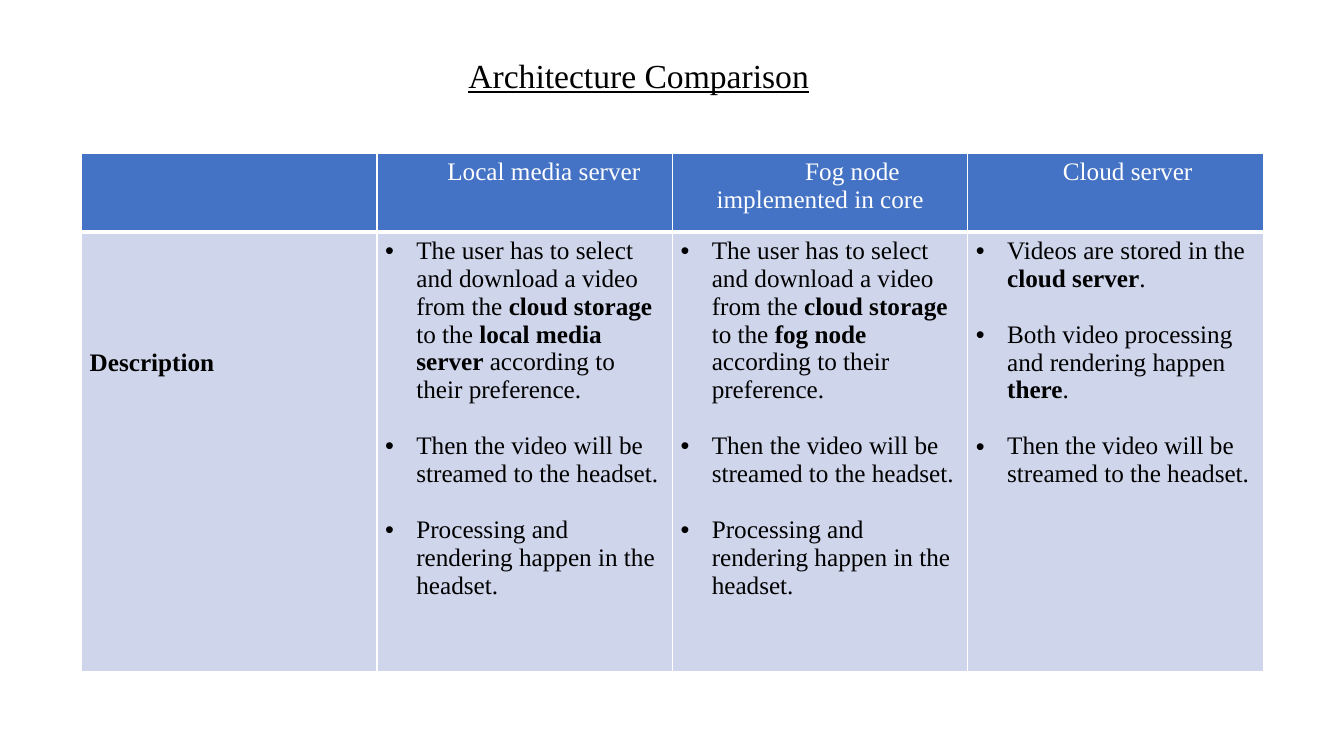
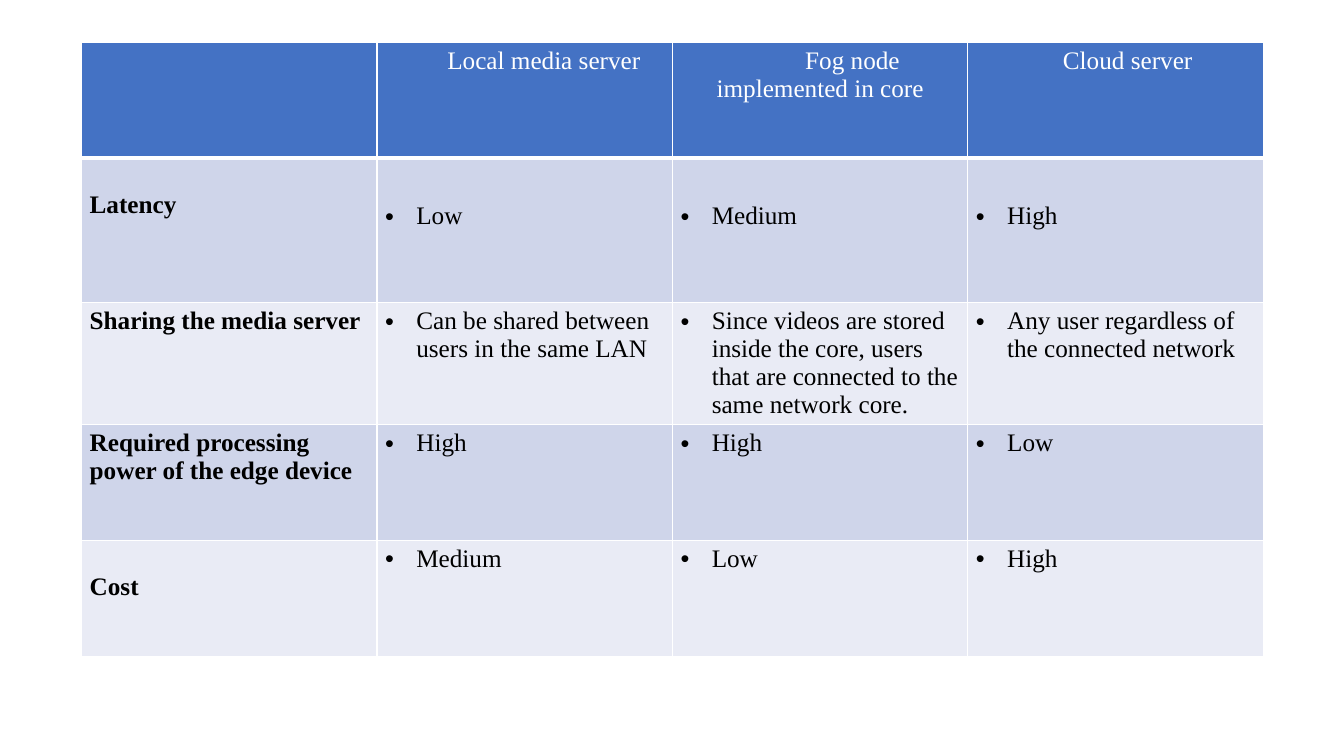
from lxml.etree import SubElement
from pptx import Presentation
from pptx.dml.color import RGBColor
from pptx.enum.text import MSO_ANCHOR, PP_ALIGN
from pptx.oxml.ns import qn
from pptx.util import Inches, Pt

# Shared style
COLORS = {
    "header": "4472C4",
    "band_dark": "CFD5EA",
    "band_light": "E9EBF5",
    "white": "FFFFFF",
    "black": "000000",
}
FONT = "Times New Roman"
TITLE_ONLY, BLANK = 5, 6
TABLE_LEFT, COLUMN_WIDTH = 0.81, 2.93
LINE = 20  # height of one text line, in points
CELL_TOP = 0.05

# Header text and its first-line indent in inches
HEADERS = [
    ("", 0),
    ("Local media server", 0.38),
    ("Fog node implemented in core", 0.64),
    ("Cloud server", 0.24),
]

# Rows: label, label offset, item offset, one list of items per architecture.
# Offsets are points below the cell's top margin; ** marks bold text.
STREAMING = "Then the video will be streamed to the headset."
RENDERING = "Processing and rendering happen in the headset."
DESCRIPTION_ROWS = [
    ("Description", 4 * LINE, 0, [
        ["The user has to select and download a video from the **cloud storage** "
         "to the **local media server** according to their preference.",
         STREAMING, RENDERING],
        ["The user has to select and download a video from the **cloud storage** "
         "to the **fog node** according to their preference.",
         STREAMING, RENDERING],
        ["Videos are stored in the **cloud server**.",
         "Both video processing and rendering happen **there**.",
         STREAMING],
    ]),
]
CRITERIA_ROWS = [
    ("Latency", LINE, LINE + 8, [["Low"], ["Medium"], ["High"]]),
    ("Sharing the media server", 0, 0, [
        ["Can be shared between users in the same LAN"],
        ["Since videos are stored inside the core, users that are connected "
         "to the same network core."],
        ["Any user regardless of the connected network"],
    ]),
    ("Required processing power of the edge device", 0, 0,
     [["High"], ["High"], ["Low"]]),
    ("Cost", LINE, 0, [["Medium"], ["Low"], ["High"]]),
]


def color(name):
    return RGBColor.from_string(COLORS[name])


def add_span(para, text, color_name, size=18, bold=False):
    span = para.add_run()
    span.text = text
    span.font.name = FONT
    span.font.size = Pt(size)
    span.font.bold = bold
    span.font.color.rgb = color(color_name)
    return span


def add_title(page, text):
    box = page.shapes.title
    box.left, box.top = Inches(3.23), Inches(0.49)
    box.width, box.height = Inches(6.21), Inches(0.5)
    para = box.text_frame.paragraphs[0]
    para.alignment = PP_ALIGN.CENTER
    add_span(para, text, "black", size=24).font.underline = True


def style_cell(cell, fill_name, top_line=1, bottom_line=1, offset=0):
    """Set borders, fill and margins; offset is in points."""
    properties = cell._tc.get_or_add_tcPr()
    widths = {"lnL": 1, "lnR": 1, "lnT": top_line, "lnB": bottom_line}
    for edge, width in widths.items():
        line = SubElement(properties, qn(f"a:{edge}"), w=str(Pt(width)))
        fill = SubElement(line, qn("a:solidFill"))
        SubElement(fill, qn("a:srgbClr"), val=COLORS["white"])
    cell.fill.solid()
    cell.fill.fore_color.rgb = color(fill_name)
    cell.vertical_anchor = MSO_ANCHOR.TOP
    cell.margin_left = cell.margin_right = Inches(0.08)
    cell.margin_top = Inches(CELL_TOP) + Pt(offset)
    cell.margin_bottom = Inches(CELL_TOP)


def set_indent(para, left, first):
    properties = para._p.get_or_add_pPr()
    properties.set("marL", str(Inches(left)))
    properties.set("indent", str(Inches(first)))
    return properties


def fill_header(cell, text, indent):
    style_cell(cell, "header", bottom_line=3)
    if text:
        para = cell.text_frame.paragraphs[0]
        para.alignment = PP_ALIGN.CENTER
        set_indent(para, 0, indent)
        add_span(para, text, "white")


def fill_bullets(cell, items):
    frame = cell.text_frame
    for index, item in enumerate(items):
        para = frame.add_paragraph() if index else frame.paragraphs[0]
        if index < len(items) - 1:
            para.space_after = Pt(LINE)
        properties = set_indent(para, 0.31, -0.31)
        SubElement(properties, qn("a:buFont"), typeface="Arial")
        SubElement(properties, qn("a:buChar"), char="•")
        for part, text in enumerate(item.split("**")):
            add_span(para, text, "black", bold=part % 2 == 1)


def add_comparison(page, top, heights, rows):
    """Add a header row and one banded row for each criterion."""
    table = page.shapes.add_table(
        len(heights), len(HEADERS), Inches(TABLE_LEFT), Inches(top),
        Inches(COLUMN_WIDTH * len(HEADERS)), Inches(sum(heights))).table
    for column in table.columns:
        column.width = Inches(COLUMN_WIDTH)
    for row, height in zip(table.rows, heights):
        row.height = Inches(height)

    for column, (text, indent) in enumerate(HEADERS):
        fill_header(table.cell(0, column), text, indent)

    for number, (label, label_offset, item_offset, lists) in enumerate(rows, 1):
        band = "band_dark" if number % 2 else "band_light"
        top_line = 3 if number == 1 else 1
        label_cell = table.cell(number, 0)
        style_cell(label_cell, band, top_line, offset=label_offset)
        add_span(label_cell.text_frame.paragraphs[0], label, "black", bold=True)
        for column, items in enumerate(lists, 1):
            cell = table.cell(number, column)
            style_cell(cell, band, top_line, offset=item_offset)
            fill_bullets(cell, items)


def main():
    deck = Presentation()
    deck.slide_width, deck.slide_height = Inches(13.33), Inches(7.5)

    # Description of each architecture
    page = deck.slides.add_slide(deck.slide_layouts[TITLE_ONLY])
    add_title(page, "Architecture Comparison")
    add_comparison(page, 1.52, [0.78, 4.36], DESCRIPTION_ROWS)

    # Comparison by criterion
    page = deck.slides.add_slide(deck.slide_layouts[BLANK])
    add_comparison(page, 0.42, [1.15, 1.43, 1.21, 1.15, 1.15], CRITERIA_ROWS)

    deck.save("out.pptx")


main()
